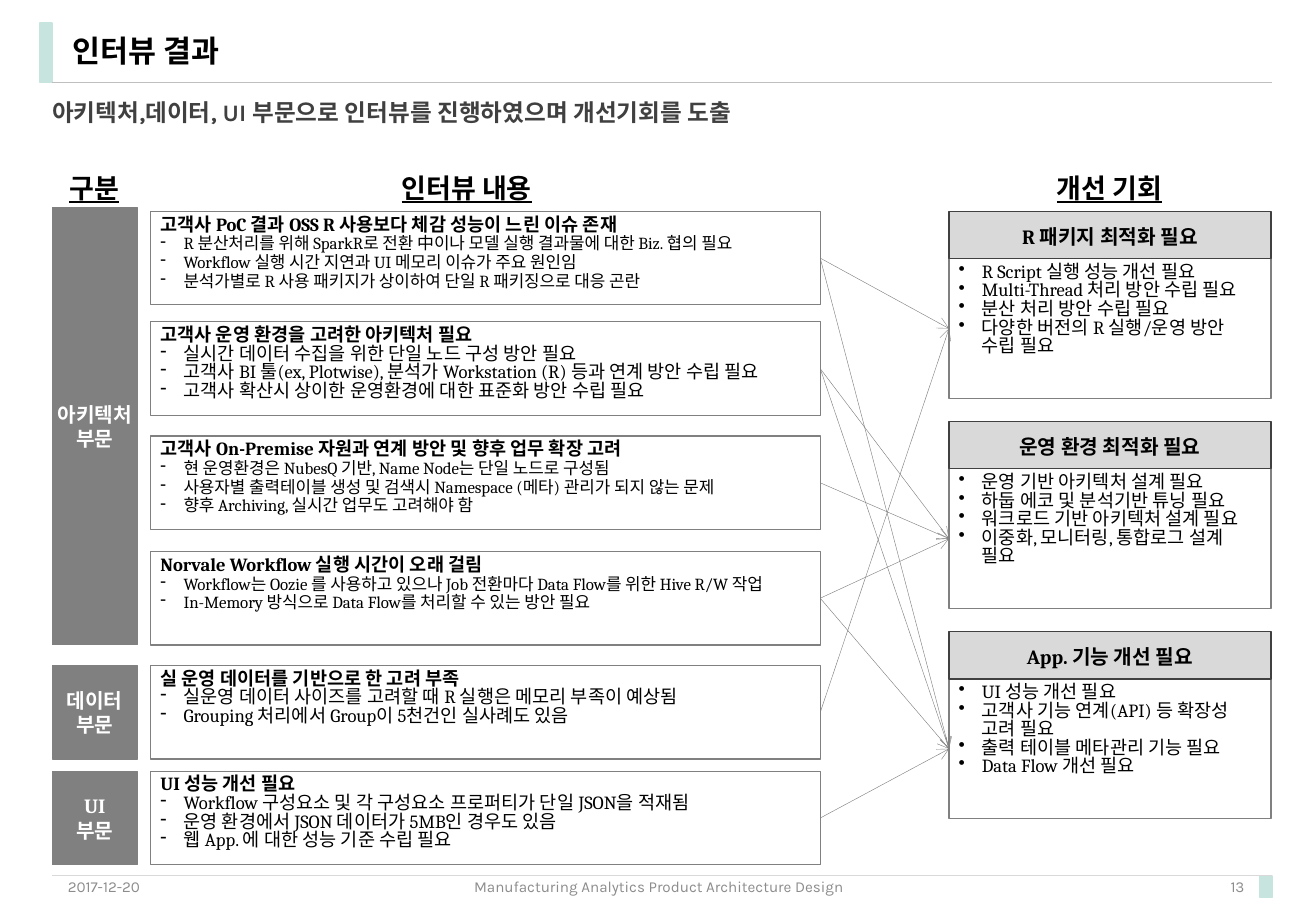
from typing import NamedTuple

import pptx
import pptx.dml.color
import pptx.enum.shapes
import pptx.enum.text
import pptx.oxml
import pptx.oxml.ns
import pptx.util

ALIGN = pptx.enum.text.PP_ALIGN
ANCHOR = pptx.enum.text.MSO_ANCHOR
PRESET = pptx.enum.shapes.MSO_SHAPE
INCH = pptx.util.Inches
BLACK, WHITE, GRAY, DARK = "000000", "FFFFFF", "808080", "404040"
MINT, PALE, FOOTER_GRAY = "C8E4DF", "D9D9D9", "8C8C8C"
HEADING_FONT, CONTENT_FONT = "Karla", "Cambria"


class Span(NamedTuple):
    """A column (left, width) or a row (top, height) of the grid, in inches."""
    start: float
    size: float

    @property
    def end(self) -> float:
        return self.start + self.size


class Finding(NamedTuple):
    heading: str
    points: list[str]
    size: int
    targets: list[int]  # indexes of the opportunities it leads to


class Opportunity(NamedTuple):
    heading: str
    points: list[str]


class Area(NamedTuple):
    name: str
    first: int  # first and last finding rows
    last: int


# Grid
PAGE = Span(0.43, 10.04)
AREA_COL, FINDING_COL, OPPORTUNITY_COL = Span(0.43, 0.7), Span(1.24, 5.51), Span(7.81, 2.65)
FINDING_ROWS = [Span(top, 0.77) for top in (1.74, 2.65, 3.59, 4.54, 5.48, 6.35)]
TITLE_ROW, LEAD_ROW, LABEL_ROW = Span(0.19, 0.49), Span(0.78, 0.31), Span(1.36, 0.37)
FOOTER_ROW = Span(7.21, 0.18)
OPPORTUNITY_TOP, OPPORTUNITY_PITCH = 1.74, 1.73
HEADER_HEIGHT, BODY_HEIGHT = 0.39, 1.15

# Content
AREAS = [Area("아키텍처\n부문", 0, 3), Area("데이터\n부문", 4, 4), Area("UI\n부문", 5, 5)]
FINDINGS = [
    Finding("고객사 PoC 결과 OSS R 사용보다 체감 성능이 느린 이슈 존재", [
        "R 분산처리를 위해 SparkR로 전환 中이나 모델 실행 결과물에 대한 Biz. 협의 필요",
        "Workflow 실행 시간 지연과 UI 메모리 이슈가 주요 원인임",
        "분석가별로 R 사용 패키지가 상이하여 단일 R 패키징으로 대응 곤란"], 10, [0, 2]),
    Finding("고객사 운영 환경을 고려한 아키텍처 필요", [
        "실시간 데이터 수집을 위한 단일 노드 구성 방안 필요",
        "고객사 BI 툴(ex, Plotwise), 분석가 Workstation (R) 등과 연계 방안 수립 필요",
        "고객사 확산시 상이한 운영환경에 대한 표준화 방안 수립 필요"], 11, [1, 2]),
    Finding("고객사 On-Premise 자원과 연계 방안 및 향후 업무 확장 고려", [
        "현 운영환경은 NubesQ 기반, Name Node는 단일 노드로 구성됨",
        "사용자별 출력테이블 생성 및 검색시 Namespace (메타) 관리가 되지 않는 문제",
        "향후 Archiving, 실시간 업무도 고려해야 함"], 10, [1]),
    Finding("Norvale Workflow 실행 시간이 오래 걸림", [
        "Workflow는 Oozie 를 사용하고 있으나 Job 전환마다 Data Flow를 위한 Hive R/W 작업",
        "In-Memory 방식으로 Data Flow를 처리할 수 있는 방안 필요"], 10, [1, 2]),
    Finding("실 운영 데이터를 기반으로 한 고려 부족", [
        "실운영 데이터 사이즈를 고려할 때 R 실행은 메모리 부족이 예상됨",
        "Grouping 처리에서 Group이 5천건인 실사례도 있음"], 11, [0]),
    Finding("UI 성능 개선 필요", [
        "Workflow 구성요소 및 각 구성요소 프로퍼티가 단일 JSON을 적재됨",
        "운영 환경에서 JSON 데이터가 5MB인 경우도 있음",
        "웹 App. 에 대한 성능 기준 수립 필요"], 11, [2]),
]
OPPORTUNITIES = [
    Opportunity("R 패키지 최적화 필요", [
        "R Script 실행 성능 개선 필요", "Multi-Thread 처리 방안 수립 필요",
        "분산 처리 방안 수립 필요", "다양한 버전의 R 실행/운영 방안 수립 필요"]),
    Opportunity("운영 환경 최적화 필요", [
        "운영 기반 아키텍처 설계 필요", "하둡 에코 및 분석기반 튜닝 필요",
        "워크로드 기반 아키텍처 설계 필요", "이중화, 모니터링, 통합로그 설계 필요"]),
    Opportunity("App. 기능 개선 필요", [
        "UI 성능 개선 필요", "고객사 기능 연계(API) 등 확장성 고려 필요",
        "출력 테이블 메타관리 기능 필요", "Data Flow 개선 필요"]),
]

deck = pptx.Presentation()
deck.slide_width, deck.slide_height = INCH(10.83), INCH(7.5)
slide = deck.slides.add_slide(deck.slide_layouts[5])


def color(value: str):
    return pptx.dml.color.RGBColor.from_string(value)


def frame(col: Span, row: Span) -> list:
    return [INCH(length) for length in (col.start, row.start, col.size, row.size)]


def write(shape, text: str, *, size: float, font: str = CONTENT_FONT, ink: str = BLACK,
          bold: bool = False, underline: bool = False, align=ALIGN.LEFT, anchor=ANCHOR.TOP,
          insets: tuple = (0.1, 0.05, 0.1, 0.05), spacing=None, bullet: str = "",
          append: bool = False) -> None:
    """Write one paragraph per line of text, after any present ones if append is set."""
    body = shape.text_frame
    body.word_wrap, body.vertical_anchor = True, anchor
    body.auto_size = pptx.enum.text.MSO_AUTO_SIZE.NONE
    body.margin_left, body.margin_top, body.margin_right, body.margin_bottom = map(INCH, insets)
    for index, line in enumerate(text.split("\n")):
        paragraph = body.add_paragraph() if append or index else body.paragraphs[0]
        paragraph.alignment, paragraph.line_spacing = align, spacing
        paragraph.space_before = pptx.util.Pt(0)
        run = paragraph.add_run()
        run.text = line
        run.font.name, run.font.size = font, pptx.util.Pt(size)
        run.font.bold, run.font.underline = bold, underline
        run.font.color.rgb = color(ink)
        if bullet:
            properties = paragraph._p.get_or_add_pPr()
            properties.set("marL", str(INCH(0.19)))
            properties.set("indent", str(-INCH(0.19)))
            mark = pptx.oxml.ns.qn("a:buChar")
            properties.append(properties.makeelement(mark, {"char": bullet}))


def add_box(col: Span, row: Span, fill: str, border: str, width: float = 0.75):
    shape = slide.shapes.add_shape(PRESET.RECTANGLE, *frame(col, row))
    shape.shadow.inherit = False
    shape.fill.solid()
    shape.fill.fore_color.rgb = color(fill)
    shape.line.color.rgb, shape.line.width = color(border), pptx.util.Pt(width)
    return shape


def add_label(col: Span, row: Span, text: str, **style) -> None:
    write(slide.shapes.add_textbox(*frame(col, row)), text, font=HEADING_FONT, **style)


def add_line(start: tuple, end: tuple, ink: str, width: float, arrow: bool = False):
    line = slide.shapes.add_connector(pptx.enum.shapes.MSO_CONNECTOR.STRAIGHT,
                                      *map(INCH, start + end))
    line.line.color.rgb, line.line.width = color(ink), pptx.util.Pt(width)
    if arrow:
        outline = line.line._get_or_add_ln()
        outline.append(outline.makeelement(pptx.oxml.ns.qn("a:tailEnd"), {"type": "arrow"}))
    properties = line._element.spPr
    properties.append(properties.makeelement(pptx.oxml.ns.qn("a:effectLst"), {}))
    return line


# Page frame and footer
add_box(Span(0.33, 0.1), TITLE_ROW, MINT, MINT, 1)
add_box(Span(10.37, 0.1), FOOTER_ROW, MINT, MINT, 1)
for y, ink in ((TITLE_ROW.end, "BFBFBF"), (FOOTER_ROW.start, PALE)):
    add_line((PAGE.start, y), (PAGE.end, y), ink, 0.5)
for col, text, align in (
        (Span(0.46, 2.44), "2017-12-20", ALIGN.LEFT),
        (Span(3.59, 3.66), "Manufacturing Analytics Product Architecture Design", ALIGN.CENTER),
        (Span(7.9, 2.44), "13", ALIGN.RIGHT)):
    add_label(col, FOOTER_ROW, text, size=9, ink=FOOTER_GRAY, align=align, anchor=ANCHOR.MIDDLE)

# Title, lead sentence and column labels
title = slide.shapes.title
title.left, title.top, title.width, title.height = frame(Span(0.5, 9.93), TITLE_ROW)
write(title, "인터뷰 결과", size=18, font=HEADING_FONT, bold=True, anchor=ANCHOR.MIDDLE, spacing=0.9)
add_label(PAGE, LEAD_ROW, "아키텍처,데이터, UI 부문으로 인터뷰를 진행하였으며 개선기회를 도출",
          size=14, ink=DARK, bold=True, insets=(0, 0.05, 0, 0.05), spacing=0.9)
for col, text in ((Span(0.42, 0.71), "구분"), (Span(2.73, 2.22), "인터뷰 내용"),
                  (Span(8.02, 2.22), "개선 기회")):
    add_label(col, LABEL_ROW, text, size=16, bold=True, underline=True, align=ALIGN.CENTER)

# Areas, each as tall as its findings
for area in AREAS:
    top = FINDING_ROWS[area.first].start - (0.03 if area.first == 0 else 0)
    row = Span(top, FINDING_ROWS[area.last].end - top)
    write(add_box(AREA_COL, row, GRAY, GRAY), area.name, size=12, ink=WHITE, bold=True,
          align=ALIGN.CENTER, anchor=ANCHOR.MIDDLE, insets=(0, 0.05, 0, 0.05))

# Opportunities
card_style = dict(insets=(0.08, 0.04, 0.08, 0.04), spacing=pptx.util.Pt(11))
opportunity_bodies = []
for index, opportunity in enumerate(OPPORTUNITIES):
    header_row = Span(OPPORTUNITY_TOP + index * OPPORTUNITY_PITCH, HEADER_HEIGHT)
    body = add_box(OPPORTUNITY_COL, Span(header_row.end, BODY_HEIGHT), WHITE, GRAY)
    write(body, "\n".join(opportunity.points), size=11, bullet="•", **card_style)
    opportunity_bodies.append(body)
    write(add_box(OPPORTUNITY_COL, header_row, PALE, DARK), opportunity.heading, size=12,
          bold=True, align=ALIGN.CENTER, anchor=ANCHOR.MIDDLE, insets=(0.04, 0.02, 0.04, 0))

# Findings and the arrows to the opportunities they lead to
RIGHT_SIDE, LEFT_SIDE = 3, 1
for row, finding in zip(FINDING_ROWS, FINDINGS):
    card = add_box(FINDING_COL, row, WHITE, GRAY)
    write(card, finding.heading, size=11, bold=True, **card_style)
    write(card, "\n".join(finding.points), size=finding.size, bullet="-", append=True, **card_style)
    for target in finding.targets:
        arrow = add_line((0, 0), (1, 1), GRAY, 0.25, arrow=True)
        arrow.begin_connect(card, RIGHT_SIDE)
        arrow.end_connect(opportunity_bodies[target], LEFT_SIDE)

deck.save("out.pptx")
